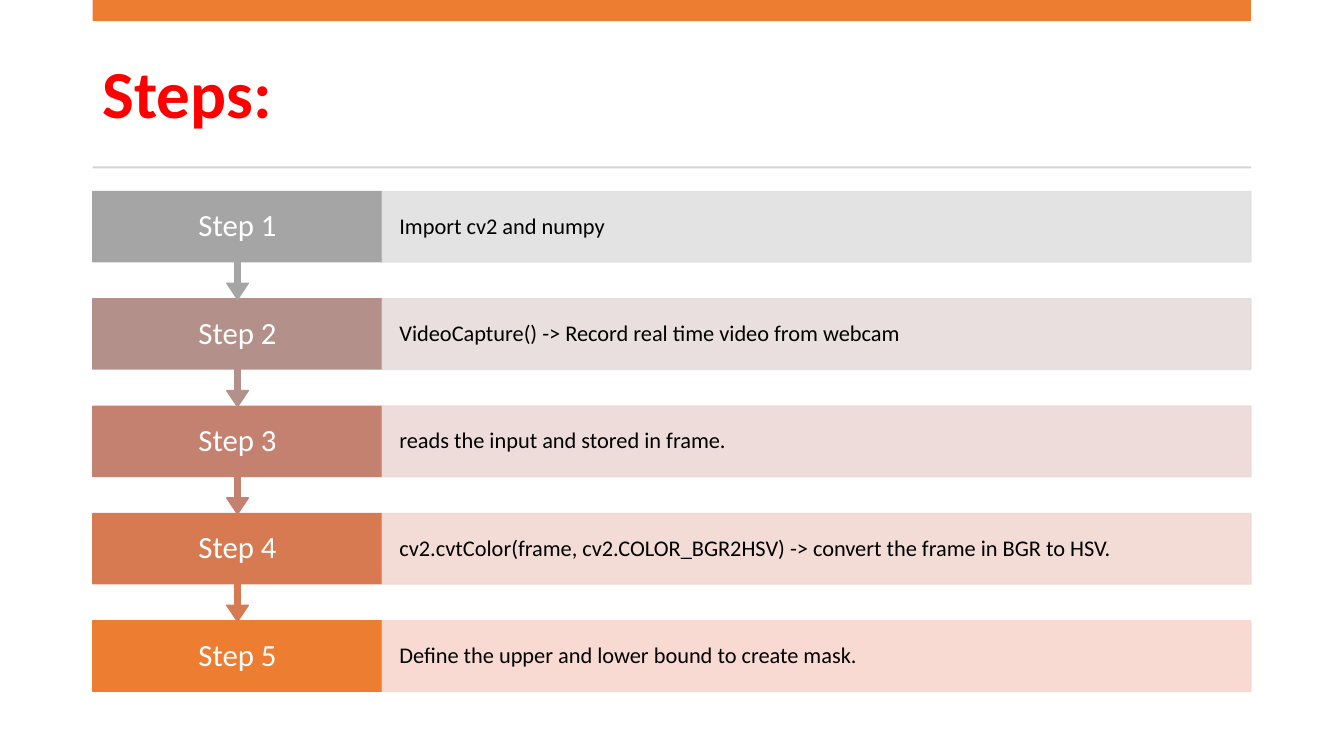
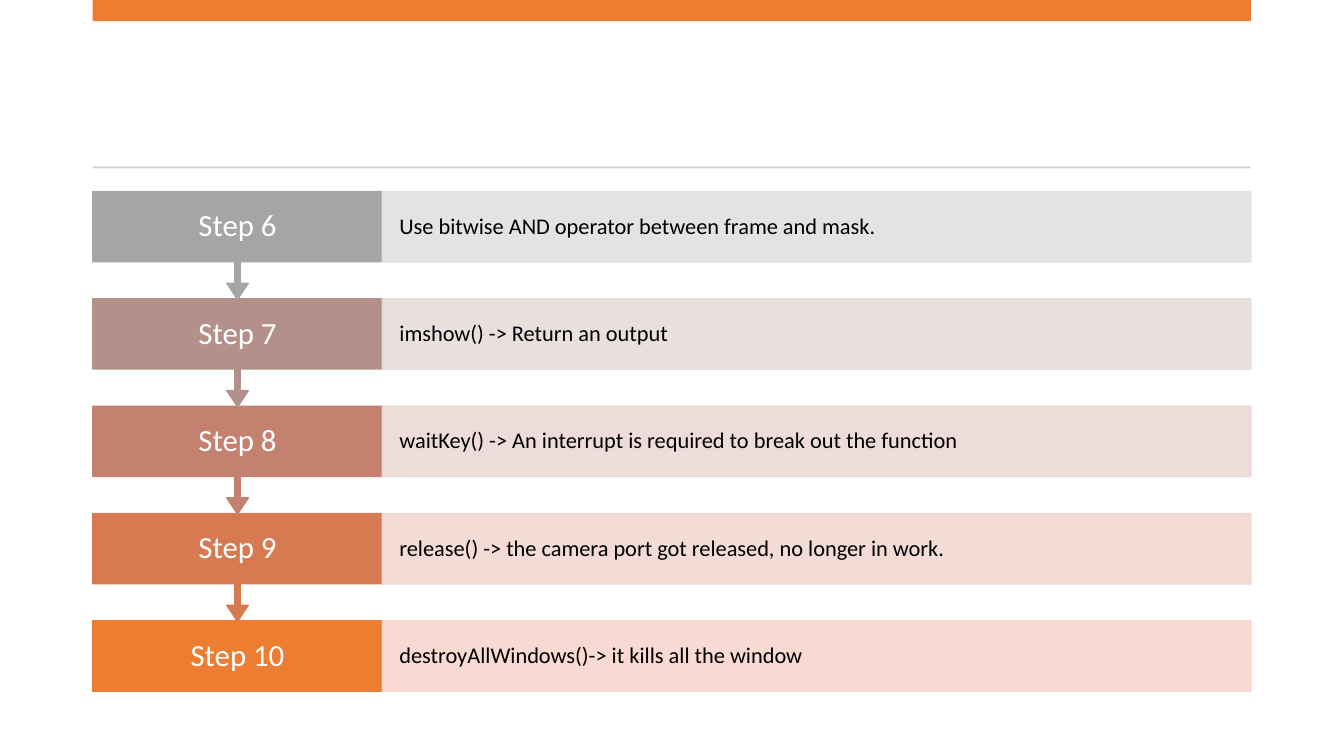
from dataclasses import dataclass

from lxml import etree
from pptx import Presentation
from pptx import util as u
from pptx.dml import color
from pptx.enum import shapes, text
from pptx.oxml import ns

Pt = u.Pt

COLOURS = {
    "accent": "ED7D31",
    "rule": "D5D5D5",
    "title": "FF0000",
    "label": "FFFFFF",
    "body": "000000",
}
FONT = "Calibri"
LEFT = 66.24
WIDTH = 827.28
LABEL_WIDTH = WIDTH / 4
ROWS_TOP = 136.8
ROW_HEIGHT = 50.4
ROW_PITCH = 76.68
CALLOUT_HEIGHT = 77.04
CALLOUT_ADJUSTMENTS = (0.05, 0.1, 0.15, 0.65)
LABEL_INSETS = (14.4, 12.24)
DETAIL_INSETS = (12.24, 15.84)


@dataclass(frozen=True)
class RowStyle:
    label_fill: str
    detail_fill: str


@dataclass(frozen=True)
class StepPage:
    title: str
    first_step: int
    details: tuple[str, ...]


ROW_STYLES = (
    RowStyle("A5A5A5", "E1E1E1"),
    RowStyle("B4908B", "E7DCDC"),
    RowStyle("C48170", "EDD9D7"),
    RowStyle("D87A51", "F2D8D2"),
    RowStyle(COLOURS["accent"], "F8D7CE"),
)

PAGES = (
    StepPage("Steps:", 1, (
        "Import cv2 and numpy",
        "VideoCapture() -> Record real time video from webcam",
        "reads the input and stored in frame.",
        "cv2.cvtColor(frame, cv2.COLOR_BGR2HSV) -> convert the frame in BGR to HSV.",
        "Define the upper and lower bound to create mask.",
    )),
    StepPage("", 6, (
        "Use bitwise AND operator between frame and mask.",
        "imshow() -> Return an output",
        "waitKey() -> An interrupt is required to break out the function",
        "release() -> the camera port got released, no longer in work.",
        "destroyAllWindows()-> it kills all the window",
    )),
)


def set_opacity(shape, percent: int) -> None:
    for fill_colour in shape._element.spPr.iter(ns.qn("a:srgbClr")):
        alpha = etree.SubElement(fill_colour, ns.qn("a:alpha"))
        alpha.set("val", str(percent * 1000))


def add_block(page, left: float, top: float, width: float, height: float, fill: str,
              *, kind=shapes.MSO_SHAPE.RECTANGLE, outlined: bool = False):
    block = page.shapes.add_shape(kind, Pt(left), Pt(top), Pt(width), Pt(height))
    block.shadow.inherit = False
    block.fill.solid()
    block.fill.fore_color.rgb = color.RGBColor.from_string(fill)
    if outlined:
        block.line.color.rgb = color.RGBColor.from_string(fill)
        block.line.width = Pt(1)
    else:
        block.line.fill.background()
    return block


def write_text(box, content: str, *, size: float, colour: str, bold: bool = False,
               align=text.PP_ALIGN.LEFT, insets: tuple[float, float] = (7.2, 3.6)) -> None:
    frame = box.text_frame
    frame.word_wrap = True
    frame.vertical_anchor = text.MSO_ANCHOR.MIDDLE
    frame.margin_left = frame.margin_right = Pt(insets[0])
    frame.margin_top = frame.margin_bottom = Pt(insets[1])
    para = frame.paragraphs[0]
    para.alignment = align
    para.line_spacing = 0.9
    span = para.add_run()
    span.text = content
    span.font.name = FONT
    span.font.size = Pt(size)
    span.font.bold = bold
    span.font.color.rgb = color.RGBColor.from_string(COLOURS[colour])


def add_label(page, top: float, content: str, fill: str, has_arrow: bool) -> None:
    if has_arrow:
        callout = add_block(page, LEFT, top, LABEL_WIDTH, CALLOUT_HEIGHT, fill,
                            kind=shapes.MSO_SHAPE.UP_ARROW_CALLOUT, outlined=True)
        callout.rotation = 180
        for index, value in enumerate(CALLOUT_ADJUSTMENTS):
            callout.adjustments[index] = value
        box = page.shapes.add_textbox(Pt(LEFT), Pt(top), Pt(LABEL_WIDTH), Pt(ROW_HEIGHT))
    else:
        box = add_block(page, LEFT, top, LABEL_WIDTH, ROW_HEIGHT, fill, outlined=True)
    write_text(box, content, size=22, colour="label",
               align=text.PP_ALIGN.CENTER, insets=LABEL_INSETS)


def add_detail(page, top: float, content: str, fill: str) -> None:
    panel = add_block(page, LEFT + LABEL_WIDTH, top, WIDTH - LABEL_WIDTH, ROW_HEIGHT,
                      fill, outlined=True)
    set_opacity(panel, 90)
    write_text(panel, content, size=16, colour="body", insets=DETAIL_INSETS)


def add_header(page, title: str) -> None:
    if title:
        box = page.shapes.add_textbox(Pt(LEFT), Pt(26.64), Pt(WIDTH), Pt(84.96))
        write_text(box, title, size=48, colour="title", bold=True)
    add_block(page, LEFT, 0, WIDTH, 15.12, COLOURS["accent"])
    add_block(page, LEFT, 118.8, WIDTH, 1.44, COLOURS["rule"])


def add_step_page(deck, content: StepPage) -> None:
    page = deck.slides.add_slide(deck.slide_layouts[6])
    add_header(page, content.title)
    last = len(content.details) - 1
    rows = list(enumerate(zip(content.details, ROW_STYLES)))
    for index, (detail, style) in reversed(rows):
        top = ROWS_TOP + index * ROW_PITCH
        add_label(page, top, f"Step {content.first_step + index}",
                  style.label_fill, has_arrow=index < last)
        add_detail(page, top, detail, style.detail_fill)


def main() -> None:
    deck = Presentation()
    deck.slide_width = Pt(960)
    deck.slide_height = Pt(540)
    for content in PAGES:
        add_step_page(deck, content)
    deck.save("out.pptx")


if __name__ == "__main__":
    main()
